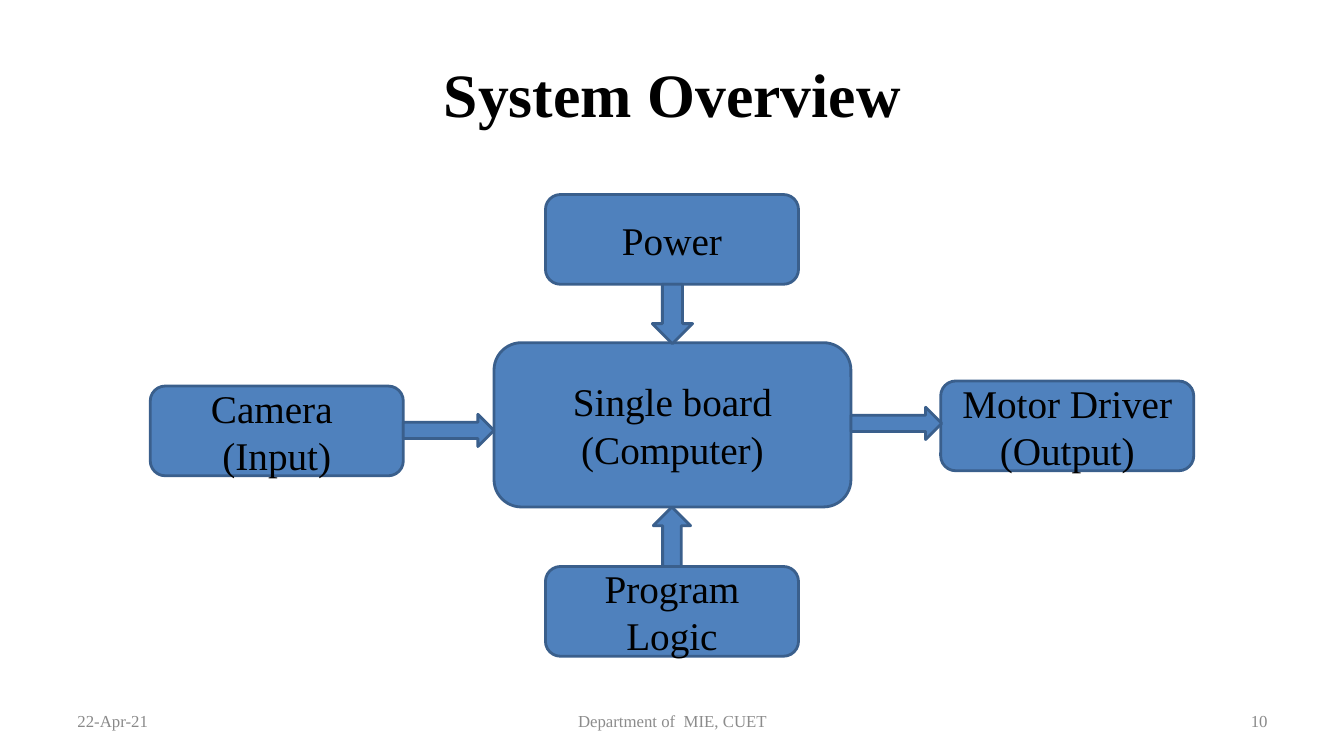
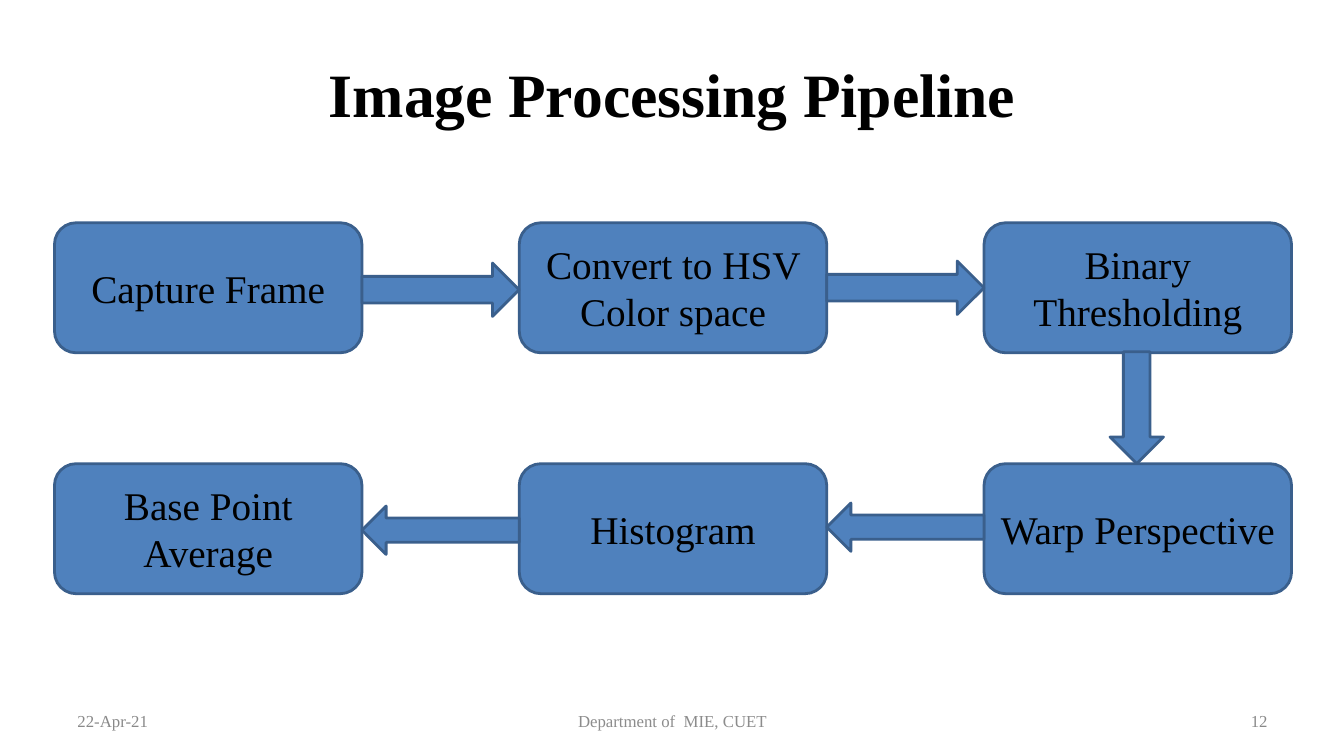
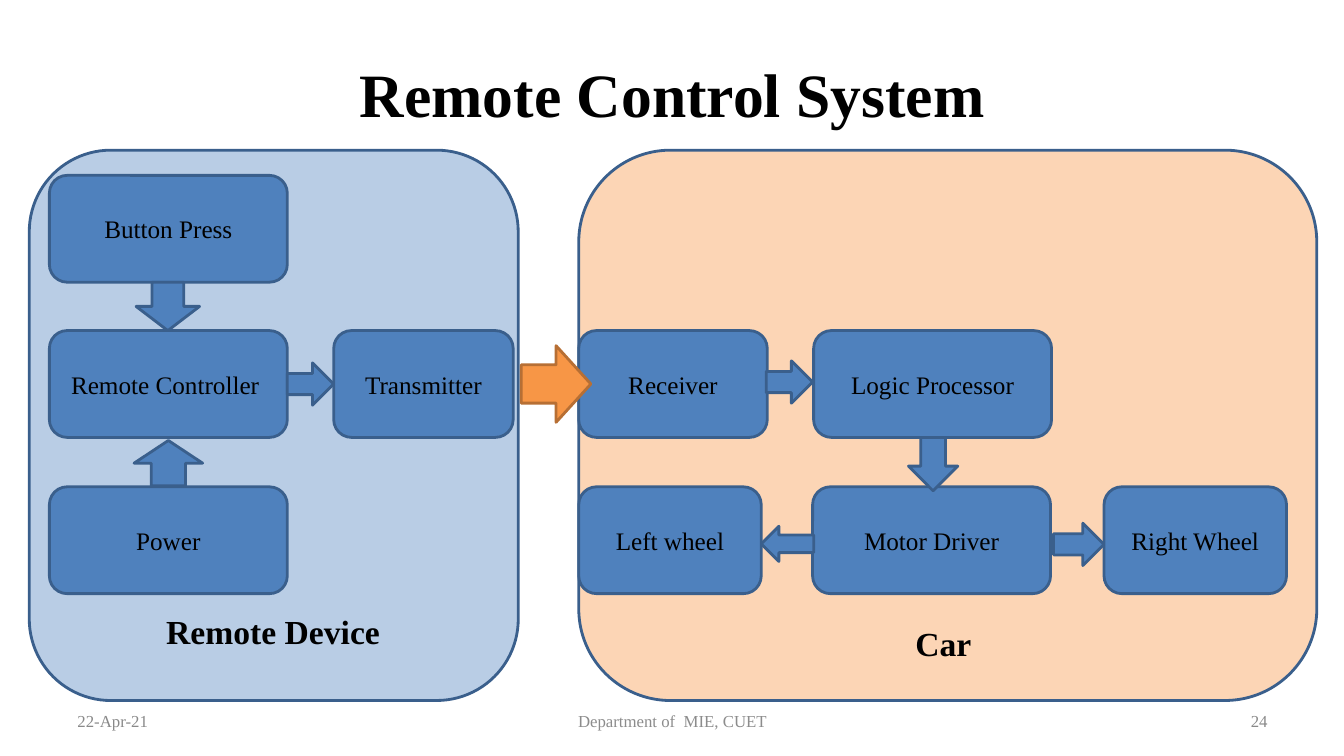
from pptx import Presentation
from pptx.dml.color import RGBColor
from pptx.enum import shapes, text
from pptx.util import Inches, Pt

COLORS = {
    "black": "000000", "date": "898989", "department": "8C8C8C",
    "blue": "4F81BD", "blue line": "3A5F8C",
    "orange": "F79646", "orange line": "B76F34",
    "pale blue": "B9CDE5", "pale orange": "FCD5B5",
}
FONT = "Times New Roman"
KIND = shapes.MSO_SHAPE
ROUNDED, RIGHT, LEFT = KIND.ROUNDED_RECTANGLE, KIND.RIGHT_ARROW, KIND.LEFT_ARROW
UP, DOWN = KIND.UP_ARROW, KIND.DOWN_ARROW
ALIGN = text.PP_ALIGN
ANCHOR = text.MSO_ANCHOR


def write(box, words, size, color="black", bold=False, align=ALIGN.CENTER, anchor=ANCHOR.MIDDLE):
    """Fill a shape or text box with text, one paragraph per line of words."""
    frame = box.text_frame
    frame.word_wrap = True
    frame.vertical_anchor = anchor
    frame.text = words
    for para in frame.paragraphs:
        para.alignment = align
        para.font.name = FONT
        para.font.size = Pt(size)
        para.font.bold = bold
        para.font.color.rgb = RGBColor.from_string(COLORS[color])


def draw(page, kind, at, fill="blue", line="blue line"):
    """Add a preset shape at (left, top, width, height) in inches."""
    shape = page.shapes.add_shape(kind, *map(Inches, at))
    shape.shadow.inherit = False
    shape.fill.solid()
    shape.fill.fore_color.rgb = RGBColor.from_string(COLORS[fill])
    shape.line.color.rgb = RGBColor.from_string(COLORS[line])
    shape.line.width = Pt(2)
    return shape


deck = Presentation()
deck.slide_width, deck.slide_height = Inches(13.33), Inches(7.5)

# Title and footer of every slide
pages = []
for title, number in [("System Overview", "10"),
                      ("Image Processing Pipeline", "12"),
                      ("Remote Control System", "24")]:
    page = deck.slides.add_slide(deck.slide_layouts[6])
    pages.append(page)
    title_box = page.shapes.add_textbox(Inches(0.67), Inches(0.3), Inches(12), Inches(1.25))
    write(title_box, title, 44, bold=True)
    for words, left, width, color, align in [
            ("22-Apr-21", 0.67, 3.11, "date", ALIGN.LEFT),
            ("Department of  MIE, CUET", 4.56, 4.22, "department", ALIGN.CENTER),
            (number, 9.56, 3.11, "date", ALIGN.RIGHT)]:
        footer = page.shapes.add_textbox(Inches(left), Inches(6.95), Inches(width), Inches(0.4))
        write(footer, words, 12, color, align=align)
overview, pipeline, remote = pages

# System overview: a hub with four neighbours
write(draw(overview, ROUNDED, (4.9, 3.4, 3.54, 1.63)), "Single board\n(Computer)", 28)
for words, left, top in [("Camera \n(Input)", 1.49, 3.83),
                         ("Power", 5.41, 1.93),
                         ("Program Logic", 5.41, 5.62),
                         ("Motor Driver\n(Output)", 9.33, 3.78)]:
    write(draw(overview, ROUNDED, (left, top, 2.51, 0.89)), words, 28)
for kind, at in [(RIGHT, (4, 4.11, 0.9, 0.32)),
                 (RIGHT, (8.44, 4.04, 0.9, 0.32)),
                 (DOWN, (6.47, 2.82, 0.4, 0.59)),
                 (UP, (6.48, 5.03, 0.37, 0.59))]:
    draw(overview, kind, at)

# Pipeline: two rows of three steps
STEP_WIDTH, STEP_HEIGHT, GAP = 3.05, 1.29, 1.56
steps = [(2.21, ["Capture Frame", "Convert to HSV Color space", "Binary Thresholding"]),
         (4.6, ["Base Point Average", "Histogram", "Warp Perspective"])]
columns = [0.54 + i * (STEP_WIDTH + GAP) for i in range(3)]
for top, names in steps:
    for left, name in zip(columns, names):
        write(draw(pipeline, ROUNDED, (left, top, STEP_WIDTH, STEP_HEIGHT)), name, 28)
for kind, height, tops in [(RIGHT, 0.53, (2.61, 2.59)), (LEFT, 0.48, (5.02, 4.99))]:
    for left, top in zip(columns, tops):
        draw(pipeline, kind, (left + STEP_WIDTH, top, GAP, height))
draw(pipeline, DOWN, (11.01, 3.49, 0.53, 1.11))

# Remote control: two panels, their blocks and the signal between them
for fill, left, width in [("pale orange", 5.74, 7.32), ("pale blue", 0.29, 4.85)]:
    draw(remote, ROUNDED, (left, 1.49, width, 5.46), fill)
rows = [(1.74, [("Button Press", 0.49, 2.36)]),
        (3.28, [("Remote Controller ", 0.49, 2.36), ("Transmitter", 3.31, 1.78),
                ("Receiver", 5.74, 1.87), ("Logic Processor", 8.07, 2.36)]),
        (4.83, [("Power", 0.49, 2.36), ("Left wheel", 5.74, 1.81),
                ("Motor Driver", 8.06, 2.36), ("Right Wheel", 10.95, 1.81)])]
for top, blocks in rows:
    for name, left, width in blocks:
        write(draw(remote, ROUNDED, (left, top, width, 1.06)), name, 18)
for kind, at in [(DOWN, (1.35, 2.8, 0.63, 0.48)),
                 (UP, (1.33, 4.37, 0.68, 0.45)),
                 (RIGHT, (2.85, 3.6, 0.46, 0.42)),
                 (RIGHT, (7.6, 3.58, 0.46, 0.42)),
                 (DOWN, (9.01, 4.34, 0.49, 0.53)),
                 (LEFT, (7.55, 5.22, 0.52, 0.35)),
                 (RIGHT, (10.45, 5.19, 0.5, 0.42))]:
    draw(remote, kind, at)
draw(remote, RIGHT, (5.17, 3.43, 0.69, 0.76), "orange", "orange line")
for name, left, top, width in [("Remote Device", 1.55, 6.01, 2.35), ("Car", 8.98, 6.13, 0.84)]:
    caption = remote.shapes.add_textbox(Inches(left), Inches(top), Inches(width), Inches(0.5))
    write(caption, name, 24, bold=True, align=ALIGN.LEFT, anchor=ANCHOR.TOP)

deck.save("out.pptx")
